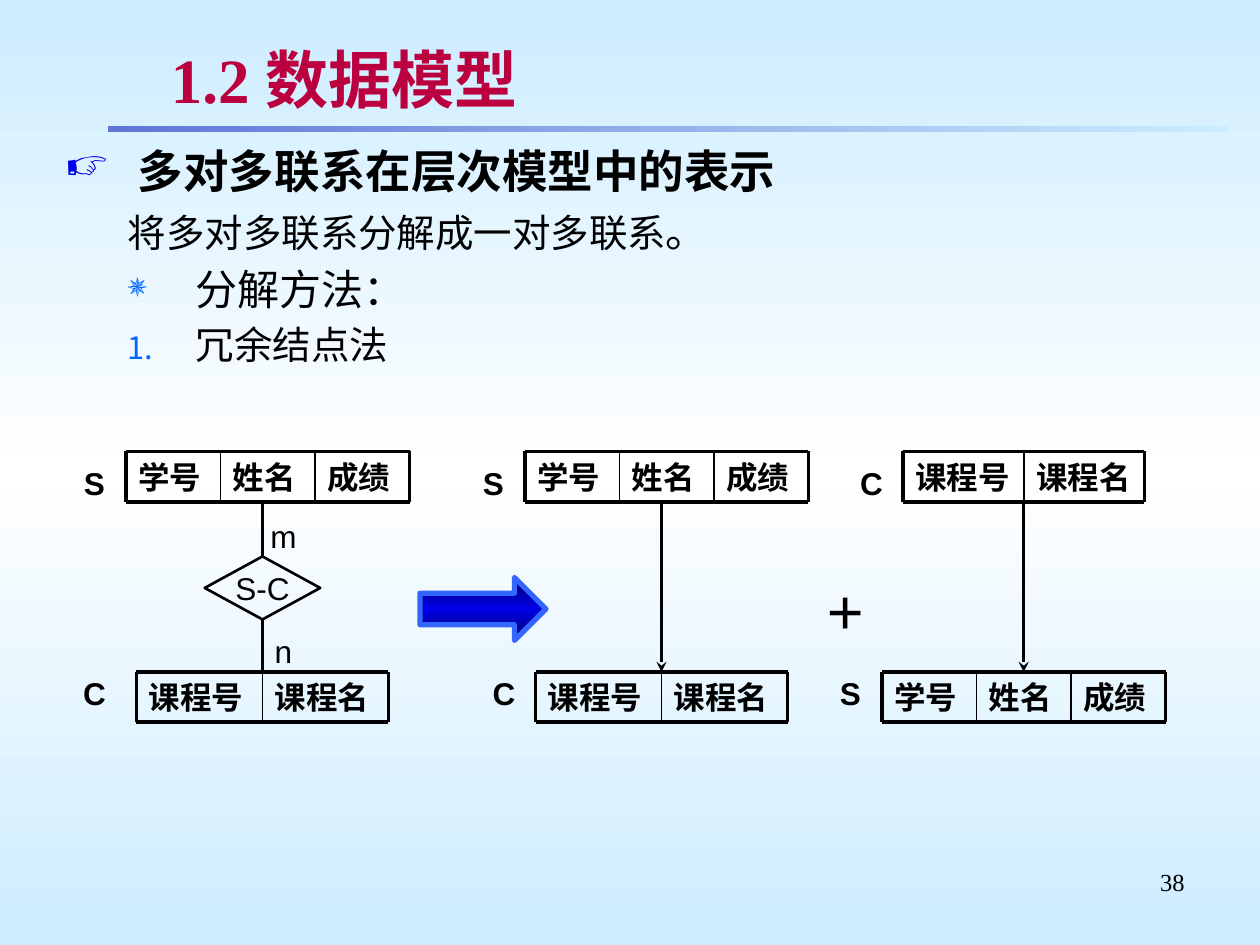
import pptx
import pptx.util
import pptx.dml.color
from lxml import etree
from pptx.enum.shapes import MSO_CONNECTOR, MSO_SHAPE
from pptx.enum.text import MSO_ANCHOR, PP_ALIGN
from pptx.oxml.ns import qn

C = {"sky": "CCECFF", "white": "FFFFFF", "bar": "5F76D7", "title": "BA003E",
     "black": "000000", "blue": "0000E8", "navy": "00006B", "bright": "3366FF",
     "bullet": "0066FF", "shade": "A0A0A0"}
SERIF, SANS = "Times New Roman", "Arial"

# All places are in cells of a grid with 12 cells to the inch.
TITLE = "1.2 数据模型"
# runs (text, size), bold, left margin and indent in inches, space before, bullet
BODY = [
    ([("多对多联系在层次模型中的表示", 26)], True, 0.58, -0.58, 0, ("☞", "blue", 95)),
    ([("将多对多联系分解成一对多联系", 22), ("。", 24)], False, 1.04, -0.54, 4.5, None),
    ([("分解方法：", 24)], False, 1.04, -0.54, 4.5, ("✵", "bullet", 80)),
    ([("冗余结点法", 22)], False, 1.04, -0.54, 4.1, ("1.", "bullet", 80)),
]
STUDENT, COURSE = ["学号", "姓名", "成绩"], ["课程号", "课程名"]
# name, name's left, fields, record's left, field width: upper then lower record
MODELS = [
    [("S", 6, STUDENT, 12, 9), ("C", 6, COURSE, 13, 12)],
    [("S", 44, STUDENT, 50, 9), ("C", 45, COURSE, 51, 12)],
    [("C", 80, COURSE, 86, 11.5), ("S", 78, STUDENT, 84, 9)],
]
AXES = [25, 63, 97.5]
ROWS = [43, 64]
NAME_ROWS = [44, 64]
ROW_H, LINK_TOP = 4.8, 48
DIAMOND = (19.5, 53, 11, 6)
ROLES = [("m", 49), ("n", 60)]


def u(cells):
    return pptx.util.Inches(cells / 12)


def rgb(name):
    return pptx.dml.color.RGBColor.from_string(C[name])


def sub(parent, tag, **attrs):
    return etree.SubElement(parent, qn(tag), attrs)


def gradient(fill, element, colors, degrees):
    """Fill with evenly spaced colour stops."""
    fill.gradient()
    grad = element.find(".//" + qn("a:gradFill"))
    stops = grad.find(qn("a:gsLst"))
    for old in list(stops):
        stops.remove(old)
    for i, color in enumerate(colors):
        gs = sub(stops, "a:gs", pos=str(100000 * i // (len(colors) - 1)))
        sub(gs, "a:srgbClr", val=C[color])
    grad.find(qn("a:lin")).set("ang", str(degrees * 60000))


def set_font(p, size, name=SERIF, bold=False, color="black"):
    p.font.size, p.font.name, p.font.bold = pptx.util.Pt(size), name, bold
    p.font.color.rgb = rgb(color)


def write(sp, text, size, name=SERIF, bold=False, color="black",
          align=PP_ALIGN.LEFT, anchor=MSO_ANCHOR.TOP, wrap=True):
    tf = sp.text_frame
    tf.word_wrap, tf.vertical_anchor = wrap, anchor
    p = tf.paragraphs[0]
    p.add_run().text = text
    p.alignment = align
    set_font(p, size, name, bold, color)
    return p


def textbox(shapes, box, text, size, **style):
    return write(shapes.add_textbox(*map(u, box)), text, size, **style)


def centred(shapes, box, text, size=18, bold=False):
    textbox(shapes, box, text, size, name=SANS, bold=bold, align=PP_ALIGN.CENTER,
            anchor=MSO_ANCHOR.MIDDLE, wrap=False)


def line(shapes, x1, y1, x2, y2, width, arrow=False):
    ln = shapes.add_connector(MSO_CONNECTOR.STRAIGHT, u(x1), u(y1), u(x2), u(y2))
    ln.line.color.rgb = rgb("black")
    ln.line.width = pptx.util.Pt(width)
    if arrow:
        sub(ln.line._get_or_add_ln(), "a:tailEnd", type="stealth")
    sub(ln._element.spPr, "a:effectLst")
    return ln


def record(shapes, fields, left, width, top):
    """Draw one row of fields with thick outer and thin inner rules."""
    right, bottom = left + width * len(fields), top + ROW_H
    for i, field in enumerate(fields):
        textbox(shapes, (left + i * width, top, width, ROW_H), field, 18, bold=True)
    for y in (top, bottom):
        line(shapes, left, y, right, y, 2.25)
    for i in range(len(fields) + 1):
        x = left + i * width
        line(shapes, x, top, x, bottom, 2.25 if x in (left, right) else 1)


def relationship(shapes, axis):
    sp = shapes.add_shape(MSO_SHAPE.DIAMOND, *map(u, DIAMOND))
    sp.shadow.inherit = False
    sp.fill.background()
    sp.line.color.rgb = rgb("black")
    sp.line.width = pptx.util.Pt(1.5)
    write(sp, "S-C", 18, SANS, align=PP_ALIGN.CENTER,
          anchor=MSO_ANCHOR.MIDDLE, wrap=False)
    line(shapes, axis, LINK_TOP, axis, DIAMOND[1], 1.5).end_connect(sp, 0)
    bottom = DIAMOND[1] + DIAMOND[3]
    line(shapes, axis, bottom, axis, ROWS[1], 1.5).begin_connect(sp, 2)
    for role, top in ROLES:
        centred(shapes, (axis - 1, top, 6, 4), role)


def body(s):
    tf = s.shapes.add_textbox(*map(u, (5, 13, 111, 25.7))).text_frame
    tf.word_wrap = True
    for i, (runs, bold, margin, indent, before, bullet) in enumerate(BODY):
        p = tf.add_paragraph() if i else tf.paragraphs[0]
        pPr = p._p.get_or_add_pPr()
        pPr.set("marL", str(pptx.util.Inches(margin)))
        pPr.set("indent", str(pptx.util.Inches(indent)))
        if bullet:
            mark, color, percent = bullet
            sub(sub(pPr, "a:buClr"), "a:srgbClr", val=C[color])
            sub(pPr, "a:buSzPct", val=str(percent * 1000))
            if mark == "1.":
                sub(pPr, "a:buAutoNum", type="arabicPeriod")
            else:
                sub(pPr, "a:buChar", char=mark)
        else:
            sub(pPr, "a:buNone")
        p.space_before = pptx.util.Pt(before)
        size = runs[0][1]
        set_font(p, size, bold=bold)
        for text, run_size in runs:
            r = p.add_run()
            r.text = text
            if run_size != size:
                r.font.size = pptx.util.Pt(run_size)


def heading(s):
    p = textbox(s.shapes, (15.1, 3.5, 98.9, 8), TITLE, 36, bold=True, color="title",
                anchor=MSO_ANCHOR.MIDDLE)
    effects = sub(p.runs[0]._r.get_or_add_rPr(), "a:effectLst")
    shadow = sub(effects, "a:outerShdw", dist="25400", dir="2700000")
    sub(shadow, "a:srgbClr", val=C["shade"])


def main():
    prs = pptx.Presentation()
    prs.slide_width, prs.slide_height = u(120), u(90)
    s = prs.slides.add_slide(prs.slide_layouts[6])
    gradient(s.background.fill, s._element, ["sky", "white", "sky"], 90)

    bar = s.shapes.add_shape(MSO_SHAPE.RECTANGLE, *map(u, (10.3, 12, 106.7, 0.6)))
    bar.shadow.inherit = False
    bar.line.fill.background()
    gradient(bar.fill, bar._element, ["bar", "sky"], 0)

    textbox(s.shapes, (86, 82, 28, 6.2), "38", 14, align=PP_ALIGN.RIGHT)
    heading(s)
    body(s)

    arrow = s.shapes.add_shape(MSO_SHAPE.RIGHT_ARROW, *map(u, (40, 55, 12, 6)))
    arrow.shadow.inherit = False
    gradient(arrow.fill, arrow._element, ["navy", "blue", "navy"], 90)
    arrow.line.color.rgb = rgb("bright")
    arrow.line.width = pptx.util.Pt(3)
    centred(s.shapes, (77, 55, 7, 6), "+", 36)

    for i, (model, axis) in enumerate(zip(MODELS, AXES)):
        shapes = s.shapes.add_group_shape().shapes
        for (name, name_left, fields, left, width), top, name_top in zip(
                model, ROWS, NAME_ROWS):
            record(shapes, fields, left, width, top)
            centred(shapes, (name_left, name_top, 6, 4), name, bold=True)
        if i == 0:
            relationship(shapes, axis)
        else:
            line(shapes, axis, LINK_TOP, axis, ROWS[1], 1.5, arrow=True)
    prs.save("out.pptx")


if __name__ == "__main__":
    main()
